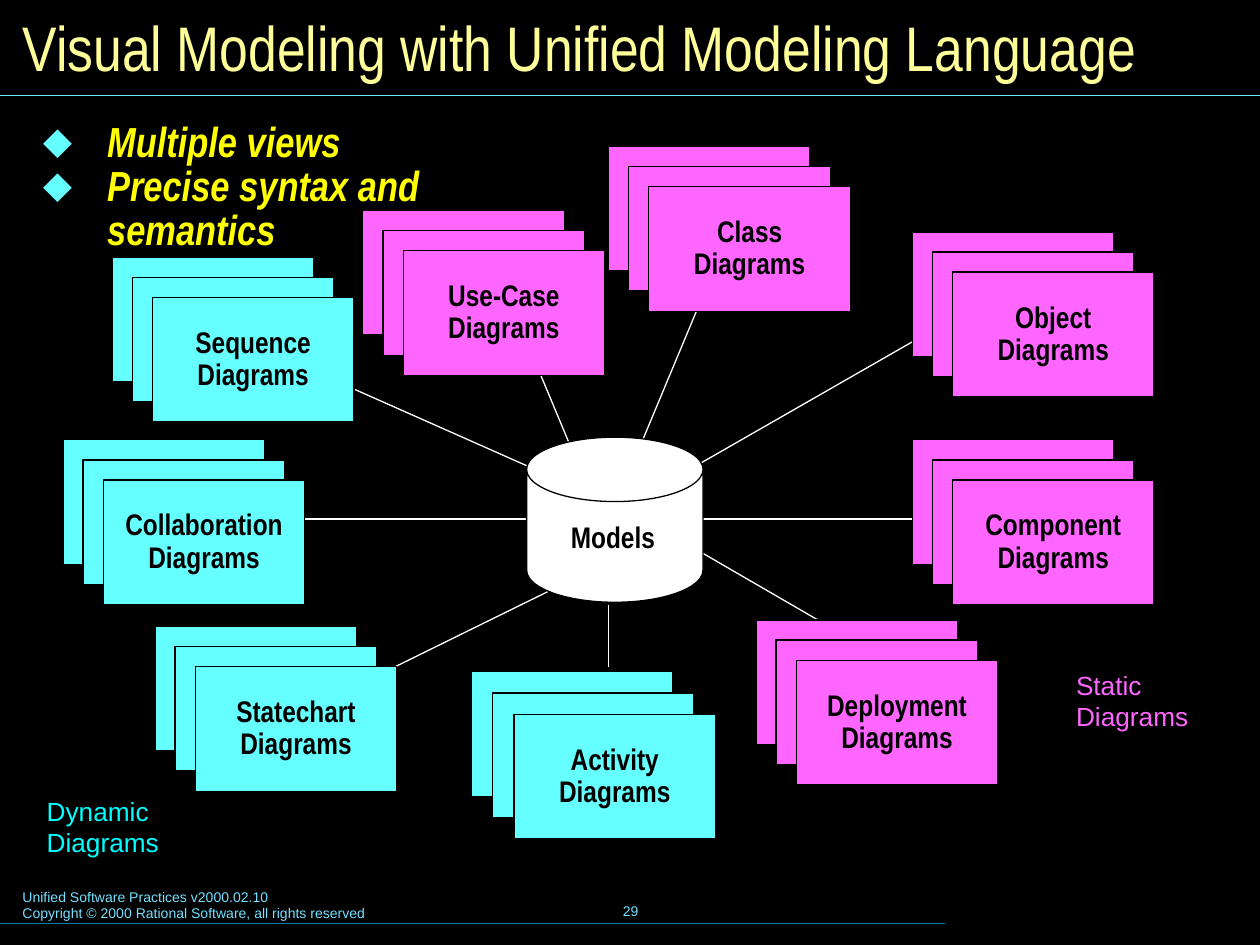
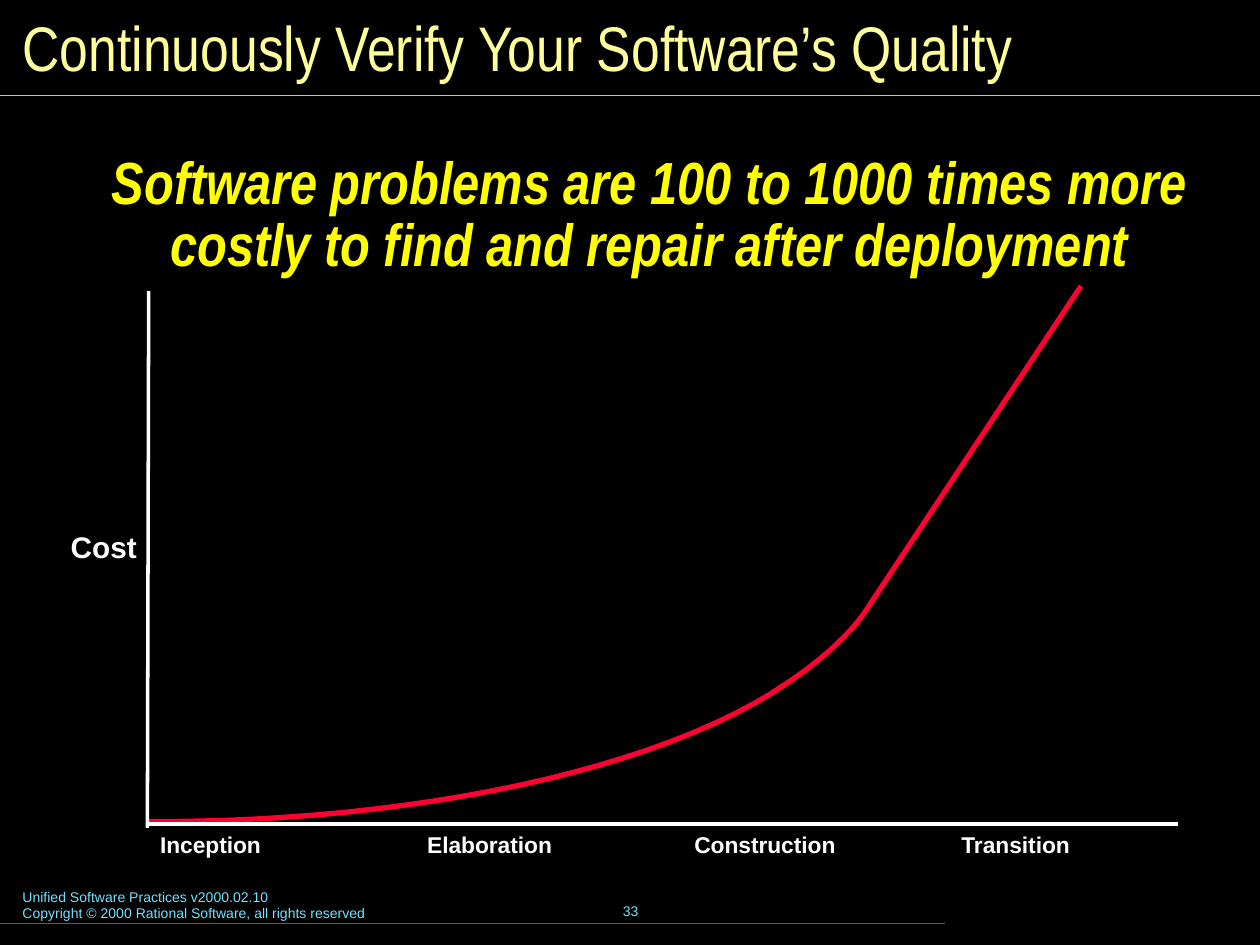
"""Build two slides: the UML diagram map and the cost-of-quality curve."""
from dataclasses import dataclass

from lxml import etree
from pptx import Presentation
from pptx.dml.color import RGBColor
from pptx.enum.shapes import MSO_CONNECTOR, MSO_SHAPE
from pptx.enum.text import MSO_ANCHOR, MSO_AUTO_SIZE, PP_ALIGN
from pptx.oxml.ns import qn
from pptx.util import Inches, Pt

LINE = MSO_CONNECTOR.STRAIGHT
RECT, CAN = MSO_SHAPE.RECTANGLE, MSO_SHAPE.CAN
TOP, MIDDLE = MSO_ANCHOR.TOP, MSO_ANCHOR.MIDDLE
LEFT, CENTER = PP_ALIGN.LEFT, PP_ALIGN.CENTER
FIXED = MSO_AUTO_SIZE.NONE


@dataclass(frozen=True)
class Theme:
    black: str = "000000"
    white: str = "FFFFFF"
    cream: str = "FFFF99"
    yellow: str = "FFFF00"
    sky: str = "73E1FF"
    teal: str = "007E9F"
    cyan: str = "66FFFF"
    aqua: str = "00FFFF"
    pink: str = "FF66FF"
    red: str = "FF0033"
    sans: str = "Arial"
    narrow: str = "Arial Narrow"
    title: int = 36
    lead: int = 34
    list: int = 24
    label: int = 17
    key: int = 15
    phase: int = 13
    foot: int = 8


T = Theme()

FOOT = ["Unified Software Practices v2000.02.10",
        "Copyright © 2000 Rational Software, all rights reserved"]

MAP_TITLE = "Visual Modeling with Unified Modeling Language"
POINTS = ["Multiple views", "Precise syntax and semantics"]
CARD = (1.6, 0.99)
STACKS = [
    ("Activity", 4.08, 5.67, T.cyan, 0.17),
    ("Sequence", 1.21, 2.36, T.cyan, 0.16),
    ("Collaboration", 0.82, 3.81, T.cyan, 0.16),
    ("Statechart", 1.55, 5.29, T.cyan, 0.16),
    ("Deployment", 6.32, 5.24, T.pink, 0.16),
    ("Component", 7.56, 3.81, T.pink, 0.16),
    ("Object", 7.56, 2.16, T.pink, 0.16),
    ("Class", 5.15, 1.48, T.pink, 0.16),
    ("Use-Case", 3.2, 1.99, T.pink, 0.16),
]
SPOKES = [
    ((5.17, 3.9), (7.56, 2.53)), ((5.33, 4.12), (7.56, 4.12)),
    ((2.25, 2.84), (4.64, 3.9)), ((3.14, 5.29), (4.4, 4.67)),
    ((4.03, 2.35), (4.61, 3.74)), ((2.25, 4.12), (4.48, 4.12)),
    ((5.59, 2.32), (5.01, 3.71)), ((6.87, 5.14), (5.11, 4.12)),
    ((4.83, 4.8), (4.83, 5.29)),
]
KEYS = [("Dynamic Diagrams", (0.25, 6.25, 1.25, 0.62), T.aqua),
        ("Static Diagrams", (8.42, 5.25, 1.17, 0.62), T.pink)]

COST_TITLE = "Continuously Verify Your Software’s Quality"
CLAIM = ("Software problems are 100 to 1000 times more "
         "costly to find and repair after deployment")
PHASES = ["Inception", "Elaboration", "Construction", "Transition"]
PHASE_GAP = 2.12
AXES = [((1.18, 2.31), (1.17, 6.57)), ((1.18, 6.54), (9.35, 6.54))]
BENDS = [((1.18, 6.52), (3.3, 6.53), (5.26, 6.1), (6.25, 5.42)),
         ((6.25, 5.42), (6.53, 5.23), (6.74, 5.04), (6.87, 4.85))]
PEAK = (8.58, 2.27)
STEPS = 24


def rgb(code):
    return RGBColor.from_string(code)


def inch(nums):
    return [Inches(n) for n in nums]


def write(frame, lines, *, size, color, font=T.narrow, bold=False,
          slant=False, align=LEFT, anchor=TOP, pad=(0.1, 0.05), wrap=True,
          space=1.0, mark=None, tabs=()):
    frame.auto_size, frame.word_wrap = FIXED, wrap
    frame.vertical_anchor = anchor
    frame.margin_left = frame.margin_right = Inches(pad[0])
    frame.margin_top = frame.margin_bottom = Inches(pad[1])
    for n, line in enumerate(lines):
        para = frame.add_paragraph() if n else frame.paragraphs[0]
        if mark:
            bullet(para, *mark)
        if tabs:
            stops = etree.SubElement(para._p.get_or_add_pPr(), qn("a:tabLst"))
            for stop in tabs:
                etree.SubElement(stops, qn("a:tab"),
                                 pos=str(Inches(stop)), algn="l")
        para.alignment, para.line_spacing = align, space
        para.space_before = Pt(0)
        run = para.add_run()
        run.text = line
        face = run.font
        face.name, face.size = font, Pt(size)
        face.bold, face.italic = bold, slant
        face.color.rgb = rgb(color)


def bullet(para, sign, color, hang):
    prop = para._p.get_or_add_pPr()
    prop.set("marL", str(Inches(hang)))
    prop.set("indent", str(-Inches(hang)))
    tint = etree.SubElement(prop, qn("a:buClr"))
    etree.SubElement(tint, qn("a:srgbClr"), val=color)
    etree.SubElement(prop, qn("a:buFont"), typeface=T.sans)
    etree.SubElement(prop, qn("a:buChar"), char=sign)


def place(holder, box):
    holder.left, holder.top, holder.width, holder.height = inch(box)
    return holder.text_frame


def label(slide, box, lines, **style):
    frame = slide.shapes.add_textbox(*inch(box)).text_frame
    write(frame, lines, **style)


def rule(slide, start, end, color, width=0.75):
    line = slide.shapes.add_connector(LINE, *inch(start + end))
    line.line.color.rgb, line.line.width = rgb(color), Pt(width)
    etree.SubElement(line._element.spPr, qn("a:effectLst"))


def block(slide, kind, box, color):
    shape = slide.shapes.add_shape(kind, *inch(box))
    shape.shadow.inherit = False
    shape.fill.solid()
    shape.fill.fore_color.rgb = rgb(color)
    shape.line.color.rgb, shape.line.width = rgb(T.black), Pt(0.75)
    return shape


def stack(slide, name, x, y, color, step):
    for back in (2, 1, 0):
        spot = (x - back * step, y - back * step)
        card = block(slide, RECT, spot + CARD, color)
    write(card.text_frame, [name, "Diagrams"], size=T.label, color=T.black,
          bold=True, align=CENTER, anchor=MIDDLE, wrap=False, space=0.9)


def bend(a, b, c, d):
    for n in range(STEPS + 1):
        t = n / STEPS
        u = 1 - t
        yield tuple(u**3 * p + 3 * u * u * t * q + 3 * u * t * t * r + t**3 * s
                    for p, q, r, s in zip(a, b, c, d))


def curve(slide):
    dots = [inch(dot) for part in BENDS for dot in bend(*part)]
    pen = slide.shapes.build_freeform(*dots[0])
    pen.add_line_segments(dots[1:] + [inch(PEAK)], close=False)
    shape = pen.convert_to_shape()
    shape.shadow.inherit = False
    shape.fill.background()
    shape.line.color.rgb, shape.line.width = rgb(T.red), Pt(3)


def start(deck, layout, title, page):
    slide = deck.slides.add_slide(deck.slide_layouts[layout])
    write(place(slide.shapes.title, (0.08, 0.08, 9.84, 0.58)), [title],
          size=T.title, color=T.cream, anchor=MIDDLE)
    small = {"size": T.foot, "color": T.sky, "font": T.sans}
    label(slide, (0.08, 7, 5.1, 0.37), FOOT, **small)
    label(slide, (3.42, 6.98, 3.17, 0.5), [page], align=CENTER,
          anchor=MIDDLE, **small)
    rule(slide, (0, 7.33), (7.5, 7.33), T.teal)
    rule(slide, (0, 0.76), (10, 0.76), T.sky)
    return slide


def draw_map(deck):
    slide = start(deck, 1, MAP_TITLE, "29")
    write(place(slide.placeholders[1], (0.25, 0.92, 4.33, 1.49)), POINTS,
          size=T.list, color=T.yellow, bold=True, slant=True, space=0.87,
          pad=(0.09, 0.05), mark=("⬥", T.cyan, 0.51))
    for ends in SPOKES:
        rule(slide, *ends, T.white)
    for item in STACKS:
        stack(slide, *item)
    can = block(slide, CAN, (4.18, 3.47, 1.4, 1.31), T.white)
    can.adjustments[0] = 0.39
    label(slide, (4.41, 4.09, 0.91, 0.37), ["Models"], size=T.label,
          color=T.black, bold=True, pad=(0.12, 0.06), wrap=False, space=0.9)
    for text, box, color in KEYS:
        label(slide, box, [text], size=T.key, color=color, font=T.sans,
              pad=(0.12, 0.06))


def draw_cost(deck):
    slide = start(deck, 5, COST_TITLE, "33")
    label(slide, (0.55, 1.18, 9.21, 1.08), [CLAIM], size=T.lead,
          color=T.yellow, bold=True, slant=True, align=CENTER, space=0.87,
          pad=(0.09, 0.05))
    curve(slide)
    for ends in AXES:
        rule(slide, *ends, T.white, 2)
    bold = {"color": T.white, "font": T.sans, "bold": True, "space": 0.9,
            "pad": (0.09, 0.04)}
    stops = [n * PHASE_GAP for n in range(1, len(PHASES))]
    label(slide, (1.18, 6.58, 8.18, 0.28), ["\t".join(PHASES)],
          size=T.phase, tabs=stops, **bold)
    label(slide, (0.47, 4.19, 0.71, 0.34), ["Cost"], size=T.label, **bold)


def main():
    deck = Presentation()
    deck.slide_width, deck.slide_height = inch((10, 7.5))
    back = deck.slide_master.background.fill
    back.solid()
    back.fore_color.rgb = rgb(T.black)
    draw_map(deck)
    draw_cost(deck)
    deck.save("out.pptx")


if __name__ == "__main__":
    main()
